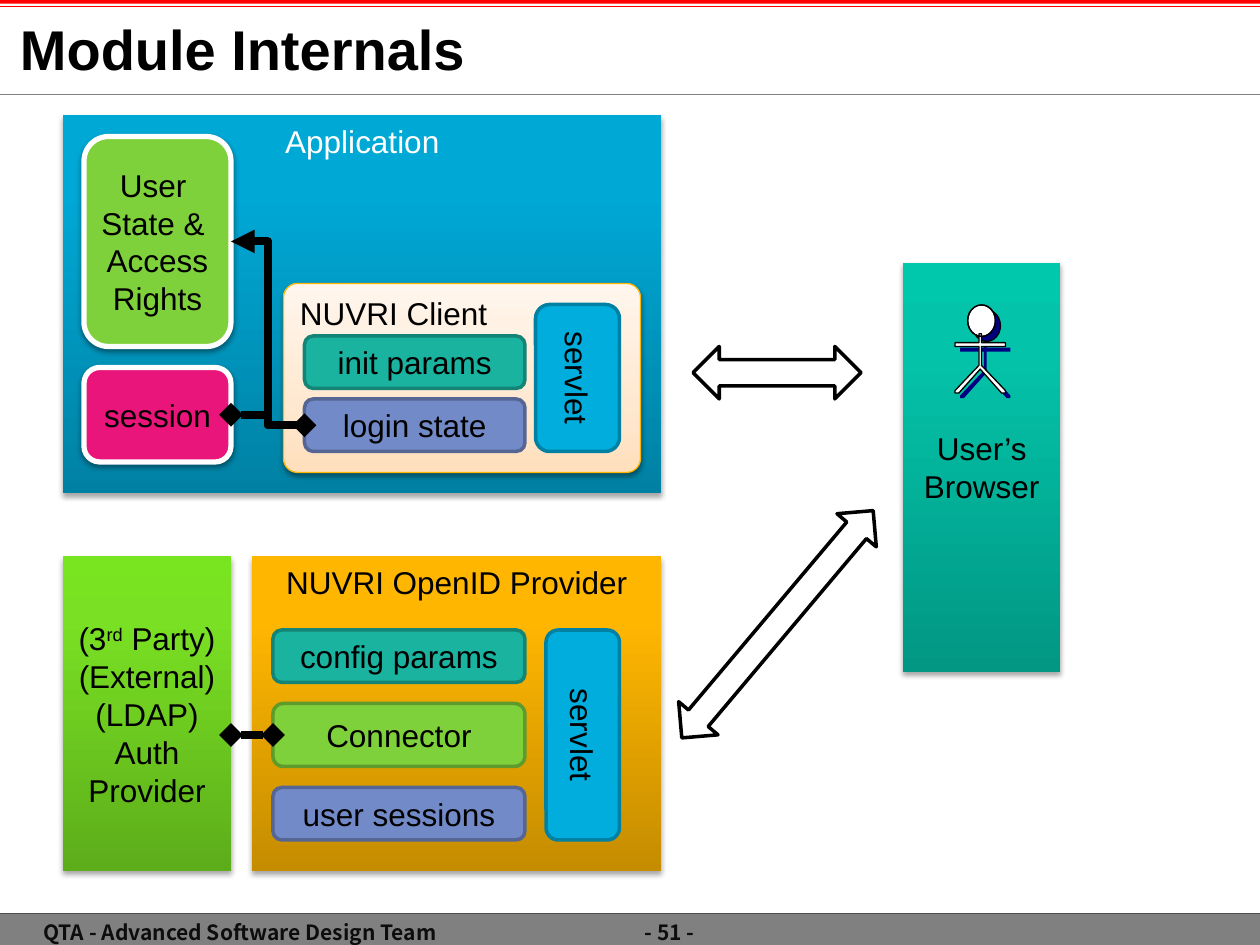
from copy import deepcopy
from dataclasses import dataclass

from lxml import etree
from pptx import Presentation
from pptx.dml.color import RGBColor
from pptx.enum.shapes import MSO_CONNECTOR, MSO_SHAPE
from pptx.enum.text import MSO_ANCHOR, PP_ALIGN
from pptx.oxml.ns import qn
from pptx.util import Inches, Pt

RECT, ROUND = MSO_SHAPE.RECTANGLE, MSO_SHAPE.ROUNDED_RECTANGLE
OVAL, ARROW = MSO_SHAPE.OVAL, MSO_SHAPE.LEFT_RIGHT_ARROW
STRAIGHT, ELBOW = MSO_CONNECTOR.STRAIGHT, MSO_CONNECTOR.ELBOW
TOP, MIDDLE = MSO_ANCHOR.TOP, MSO_ANCHOR.MIDDLE
LEFT, CENTER = PP_ALIGN.LEFT, PP_ALIGN.CENTER

WIDE, HIGH = 10, 7.5
CELL = 1 / 12  # grid step in inches

HEX = {
    "black": "000000", "white": "FFFFFF", "red": "FF0000", "gray": "808080",
    "dark": "4D4D4D", "ink": "0D0D0D", "navy": "000080", "gold": "FEB604",
    "cyan": "00ADDC", "cyan_rim": "0080A3", "teal": "1AB39F",
    "teal_rim": "138476", "blue": "738AC8", "blue_rim": "556694",
    "green": "7FD13B", "green_rim": "5E9B2C", "pink": "EA157A",
}
# Stops of each blend, from bottom to top
BLEND = {
    "sky": ((0, "0081A4"), (80, "00A8D5"), (100, "00A8D6")),
    "cream": ((0, "FFDFBC"), (35, "FFE8D0"), (100, "FFF6ED")),
    "amber": ((0, "C58C00"), (80, "FFB601"), (100, "FFB602")),
    "sea": ((0, "029783"), (80, "03C4AA"), (100, "00C8AD")),
    "lime": ((0, "5DAD1B"), (80, "79E023"), (100, "79E520")),
}


@dataclass
class Box:
    """A shape placed by column, row, columns wide and rows high."""
    col: float
    row: float
    cols: float
    rows: float
    fill: str
    text: str = ""
    rim: str = ""
    width: float = 2
    kind: int = ROUND
    turn: float = 0
    shade: tuple = ()
    color: str = "black"
    align: int = CENTER
    anchor: int = MIDDLE
    wrap: bool = False
    curve: float = 0


@dataclass
class Link:
    """A heavy line between two grid points."""
    start: tuple
    end: tuple
    kind: int
    head: str
    tail: str = ""


def rgb(name: str) -> RGBColor:
    return RGBColor.from_string(HEX[name])


def cast(shape, blur: float, dist: float, alpha: int):
    """Give a shape a black shadow below it."""
    glow = shape._element.spPr.find(qn("a:effectLst"))
    drop = etree.SubElement(glow, qn("a:outerShdw"), blurRad=str(Pt(blur)),
                            dist=str(Pt(dist)), dir="5400000", rotWithShape="0")
    tint = etree.SubElement(drop, qn("a:srgbClr"), val=HEX["black"])
    etree.SubElement(tint, qn("a:alpha"), val=str(alpha * 1000))


def write(shape, text: str, size=18, font="Arial", color="black", bold=False,
          align=CENTER, anchor=MIDDLE, wrap=True, inset=(0.1, 0.05)):
    """Lines part at a newline; text between bars is raised."""
    frame = shape.text_frame
    frame.word_wrap, frame.vertical_anchor = wrap, anchor
    frame.margin_left = frame.margin_right = Inches(inset[0])
    frame.margin_top = frame.margin_bottom = Inches(inset[1])
    for i, line in enumerate(text.split("\n")):
        para = frame.add_paragraph() if i else frame.paragraphs[0]
        para.alignment = align
        for k, part in enumerate(line.split("|")):
            run = para.add_run()
            run.text = part
            run.font.size, run.font.name, run.font.bold = Pt(size), font, bold
            run.font.color.rgb = rgb(color)
            if k % 2:
                run.font._element.set("baseline", "30000")


def paint(shape, fill="", rim="", width: float = 1):
    shape.shadow.inherit = False
    if fill in BLEND:
        shape.fill.gradient()
        shape.fill.gradient_angle = 90
        stops = shape._element.spPr.find(qn("a:gradFill")).find(qn("a:gsLst"))
        stops.append(deepcopy(stops[0]))
        for stop, (spot, tint) in zip(shape.fill.gradient_stops, BLEND[fill]):
            stop.position = spot / 100
            stop.color.rgb = RGBColor.from_string(tint)
    elif fill:
        shape.fill.solid()
        shape.fill.fore_color.rgb = rgb(fill)
    else:
        shape.fill.background()
    if rim:
        shape.line.color.rgb = rgb(rim)
        shape.line.width = Pt(width)
    else:
        shape.line.fill.background()


def place(kind, x: float, y: float, w: float, h: float):
    return slide.shapes.add_shape(kind, *map(Inches, (x, y, w, h)))


def rule(kind, start, end, color: str, width: float, head="", tail=""):
    line = slide.shapes.add_connector(kind, *map(Inches, (*start, *end)))
    line.line.color.rgb = rgb(color)
    line.line.width = Pt(width)
    props = line._element.spPr
    for tag, tip in (("a:headEnd", head), ("a:tailEnd", tail)):
        if tip:
            etree.SubElement(props.find(qn("a:ln")), qn(tag), type=tip)
    etree.SubElement(props, qn("a:effectLst"))


def draw(item):
    if isinstance(item, Link):
        ends = [[n * CELL for n in spot] for spot in (item.start, item.end)]
        rule(item.kind, *ends, "black", 4.5, item.head, item.tail)
        return
    shape = place(item.kind, *(n * CELL for n in (item.col, item.row, item.cols, item.rows)))
    paint(shape, item.fill, item.rim, item.width)
    shape.rotation = item.turn
    if item.curve:
        shape.adjustments[0] = item.curve
    if item.shade:
        cast(shape, *item.shade)
    if item.text:
        write(shape, item.text, color=item.color, align=item.align, anchor=item.anchor,
              wrap=item.wrap, inset=(0.04 if item.wrap else 0.1, 0.05))


def label(x: float, y: float, w: float, h: float, text: str, **form):
    box = slide.shapes.add_textbox(*map(Inches, (x, y, w, h)))
    write(box, text, **form)


def person(x: float, y: float, fill="", rim="", edge=0.75):
    """Stick figure whose neck is at x, y."""
    half = [(0.01, 0), (0.01, 0.07), (0.2, 0.07), (0.2, 0.1), (0.01, 0.1),
            (0.01, 0.25), (0.2, 0.45), (0.2, 0.47), (0.17, 0.47), (0, 0.28)]
    ring = half + [(-a, b) for a, b in reversed(half[:-1])]
    spots = [(Inches(x + a), Inches(y + b)) for a, b in ring]
    body = slide.shapes.build_freeform(*spots[0])
    body.add_line_segments(spots[1:], close=True)
    paint(body.convert_to_shape(), fill, rim, 0.75)
    paint(place(OVAL, x - 0.1, y - 0.23, 0.22, 0.25), fill, "black", edge)


deck = Presentation()
deck.slide_width, deck.slide_height = Inches(WIDE), Inches(HIGH)
slide = deck.slides.add_slide(deck.slide_layouts[6])

# Header and footer bands
paint(place(RECT, 0, 0, WIDE, 0.03), "red")
paint(place(RECT, 0, 7.25, WIDE, 0.26), "gray")
for y, color, width in ((0.75, "gray", 0.5), (0.05, "red", 0.75), (7.25, "dark", 0.5)):
    rule(STRAIGHT, (0, y), (WIDE, y), color, width)
for x, w, text in ((0.33, 3.15, "QTA - Advanced Software Design Team"),
                   (4.92, 0.83, "- 51 - ")):
    label(x, 7.3, w, 0.2, text, size=12, font="Noto Sans CJK JP", color="ink",
          bold=True, anchor=TOP, inset=(0, 0))
label(0.06, 0, 8.72, 0.76, "Module Internals", size=32, bold=True, align=LEFT)

# Modules, their parts and links, from back to front
panel = {"kind": RECT, "shade": (3.1, 1.8, 35)}
head = {**panel, "anchor": TOP, "wrap": True}
soft = (3.1, 1.6, 38)
card = {"rim": "white", "width": 3, "shade": soft}
for item in (
    Box(6, 11, 57, 36, "sky", "Application", color="white", **head),
    Box(27, 27, 34, 18, "cream", "NUVRI Client", "gold", 0.75, shade=soft,
        align=LEFT, anchor=TOP, curve=0.074),
    Box(24, 53, 39, 30, "amber", "NUVRI OpenID Provider", **head),
    Box(86, 25, 15, 39, "sea", "User’s\nBrowser", wrap=True, **panel),
    Box(66, 33, 16, 5, "white", rim="black", kind=ARROW),
    Box(59.9, 57, 28.3, 4.9, "white", rim="black", kind=ARROW, turn=310.1),
    Box(48, 32, 14, 8, "cyan", "servlet", "cyan_rim", turn=90),
    Box(29, 32, 21, 5, "teal", "init params", "teal_rim"),
    Box(29, 38, 21, 5, "blue", "login state", "blue_rim"),
    Box(8, 35, 14, 9, "pink", "session", **card),
    Box(8, 13, 14, 20, "green", "User \nState & \nAccess\nRights", **card),
    Link((22, 23), (29, 40.5), ELBOW, "triangle"),
    Box(45.5, 66.5, 20, 7, "cyan", "servlet", "cyan_rim", turn=90),
    Box(26, 75, 24, 5, "blue", "user sessions", "blue_rim"),
    Box(26, 60, 24, 5, "teal", "config params", "teal_rim"),
    Box(26, 67, 24, 6, "green", "Connector", "green_rim"),
    Box(6, 53, 16, 30, "lime", "(3|rd| Party)\n(External)\n(LDAP)\nAuth\nProvider", **panel),
    Link((22, 39.5), (29, 40.5), ELBOW, "diamond", "diamond"),
    Link((26, 70), (22, 70), STRAIGHT, "diamond", "diamond"),
):
    draw(item)

# User: shade, body and outline
person(7.82, 2.69, "navy", edge=0)
person(7.78, 2.65, "white", edge=0)
person(7.78, 2.65, rim="black")

deck.save("out.pptx")
